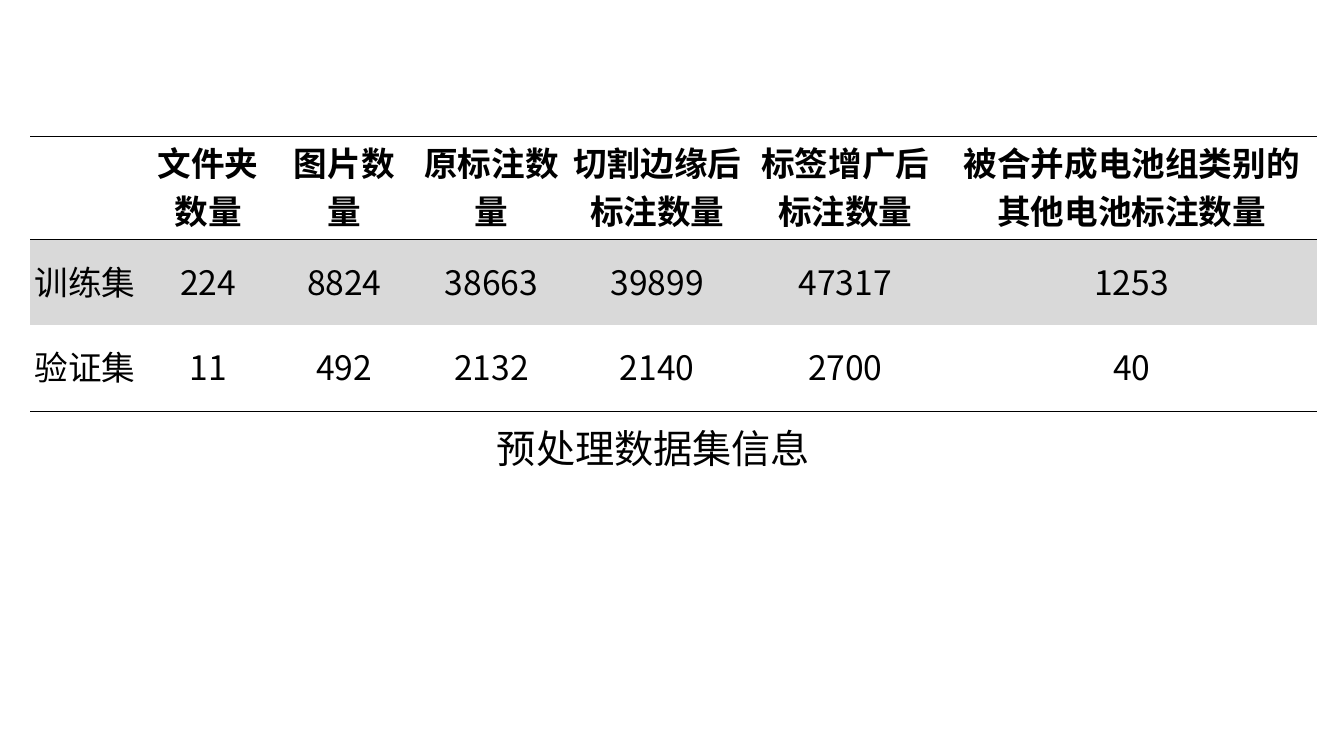
from pptx import Presentation
from pptx.dml.color import RGBColor
from pptx.enum.text import MSO_ANCHOR, MSO_AUTO_SIZE, PP_ALIGN
from pptx.oxml.ns import qn
from pptx.util import Inches, Pt
from lxml import etree

CENTER, LEFT = PP_ALIGN.CENTER, PP_ALIGN.LEFT
MIDDLE = MSO_ANCHOR.MIDDLE
FIT_SHAPE = MSO_AUTO_SIZE.SHAPE_TO_FIT_TEXT

COLORS = {"ink": "000000", "band": "D9D9D9"}
CJK_FONT = "Noto Sans CJK SC"

COL_WIDTHS = [1.09, 1.35, 1.35, 1.57, 1.72, 2.01, 3.67]
ROW_HEIGHTS = [0.86, 0.85, 0.85]
RULED_EDGES = [("T", "B"), ("T",), ("B",)]  # edges ruled in each row
ROWS = [
    ["", "文件夹数量", "图片数量", "原标注数量", "切割边缘后标注数量",
     "标签增广后标注数量", "被合并成电池组类别的其他电池标注数量"],
    ["训练集", "224", "8824", "38663", "39899", "47317", "1253"],
    ["验证集", "11", "492", "2132", "2140", "2700", "40"],
]


def write(tf, text, size=24, font="Arial", bold=False, align=CENTER):
    p = tf.paragraphs[0]
    p.alignment = align
    r = p.add_run()
    r.text = text
    r.font.size, r.font.name, r.font.bold = Pt(size), font, bold
    r.font.color.rgb = RGBColor.from_string(COLORS["ink"])
    ea = etree.SubElement(r.font._element, qn("a:ea"))
    ea.set("typeface", CJK_FONT)


def set_borders(cell, ruled):
    tcPr = cell._tc.get_or_add_tcPr()
    for edge in "LRTB":
        ln = etree.SubElement(tcPr, qn(f"a:ln{edge}"))
        if edge in ruled:
            ln.set("w", str(Pt(0.5)))
            fill = etree.SubElement(ln, qn("a:solidFill"))
            etree.SubElement(fill, qn("a:srgbClr")).set("val", COLORS["ink"])
        else:
            etree.SubElement(ln, qn("a:noFill"))


def format_cell(cell, ruled, banded):
    cell.vertical_anchor = MIDDLE
    cell.margin_left = cell.margin_right = cell.margin_top = Inches(0.01)
    cell.margin_bottom = Inches(0.05)
    set_borders(cell, ruled)
    if banded:
        cell.fill.solid()
        cell.fill.fore_color.rgb = RGBColor.from_string(COLORS["band"])
    else:
        cell.fill.background()


def add_dataset_table(s, left, top):
    frame = s.shapes.add_table(
        len(ROWS), len(COL_WIDTHS), Inches(left), Inches(top),
        Inches(sum(COL_WIDTHS)), Inches(sum(ROW_HEIGHTS)))
    table = frame.table
    table.first_row = table.horz_banding = False
    for col, width in zip(table.columns, COL_WIDTHS):
        col.width = Inches(width)
    for i, (row, height) in enumerate(zip(table.rows, ROW_HEIGHTS)):
        row.height = Inches(height)
        for j, (cell, text) in enumerate(zip(row.cells, ROWS[i])):
            format_cell(cell, RULED_EDGES[i], banded=i == 1)
            if text:
                label = i == 0 or j == 0
                write(cell.text_frame, text, bold=i == 0,
                      font="Arial" if label else CJK_FONT)


def add_caption(s, text, left, top, width, height):
    sp = s.shapes.add_textbox(*map(Inches, (left, top, width, height)))
    tf = sp.text_frame
    tf.word_wrap = False
    tf.auto_size = FIT_SHAPE
    write(tf, text, size=28, font="Calibri", align=LEFT)


def main():
    prs = Presentation()
    prs.slide_width, prs.slide_height = Inches(13.33), Inches(7.5)
    s = prs.slides.add_slide(prs.slide_layouts[6])

    # Dataset counts, with the caption below
    add_dataset_table(s, 0.3, 1.35)
    add_caption(s, "预处理数据集信息", 4.83, 4.16, 3.31, 0.57)

    prs.save("out.pptx")


if __name__ == "__main__":
    main()
